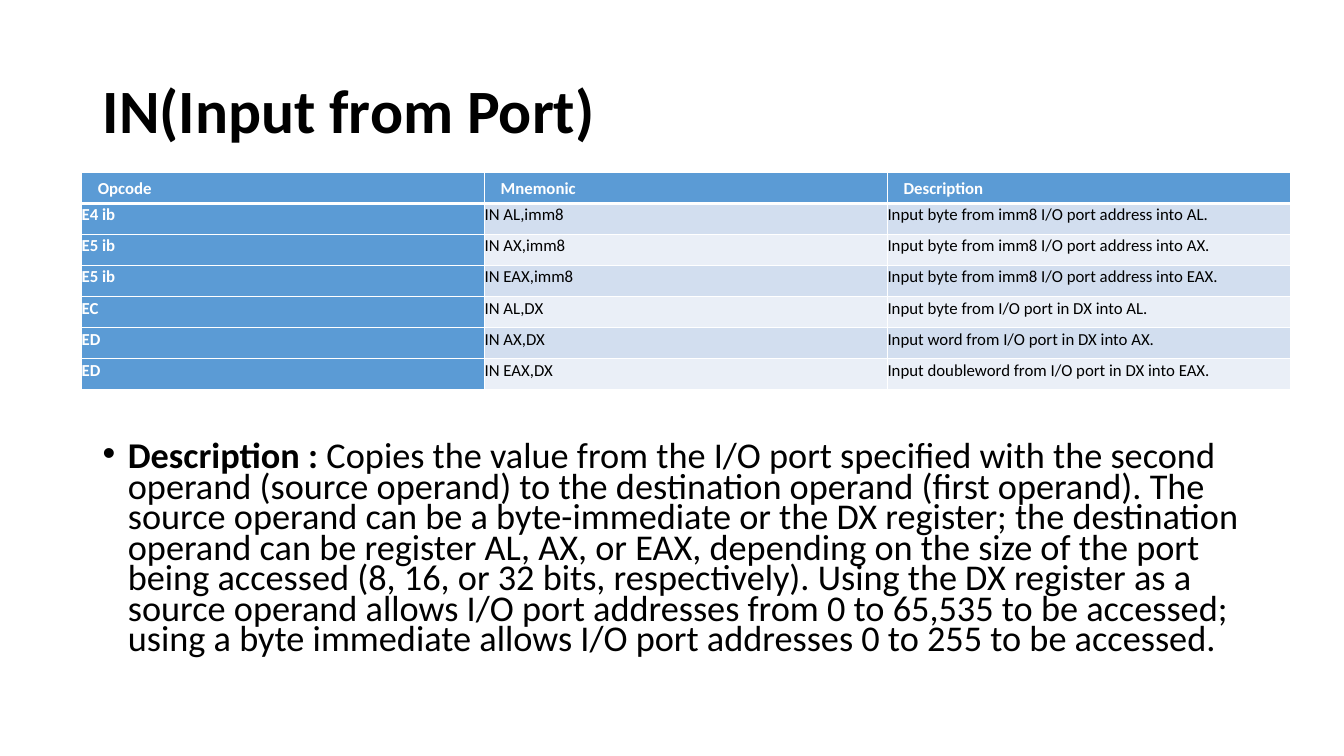
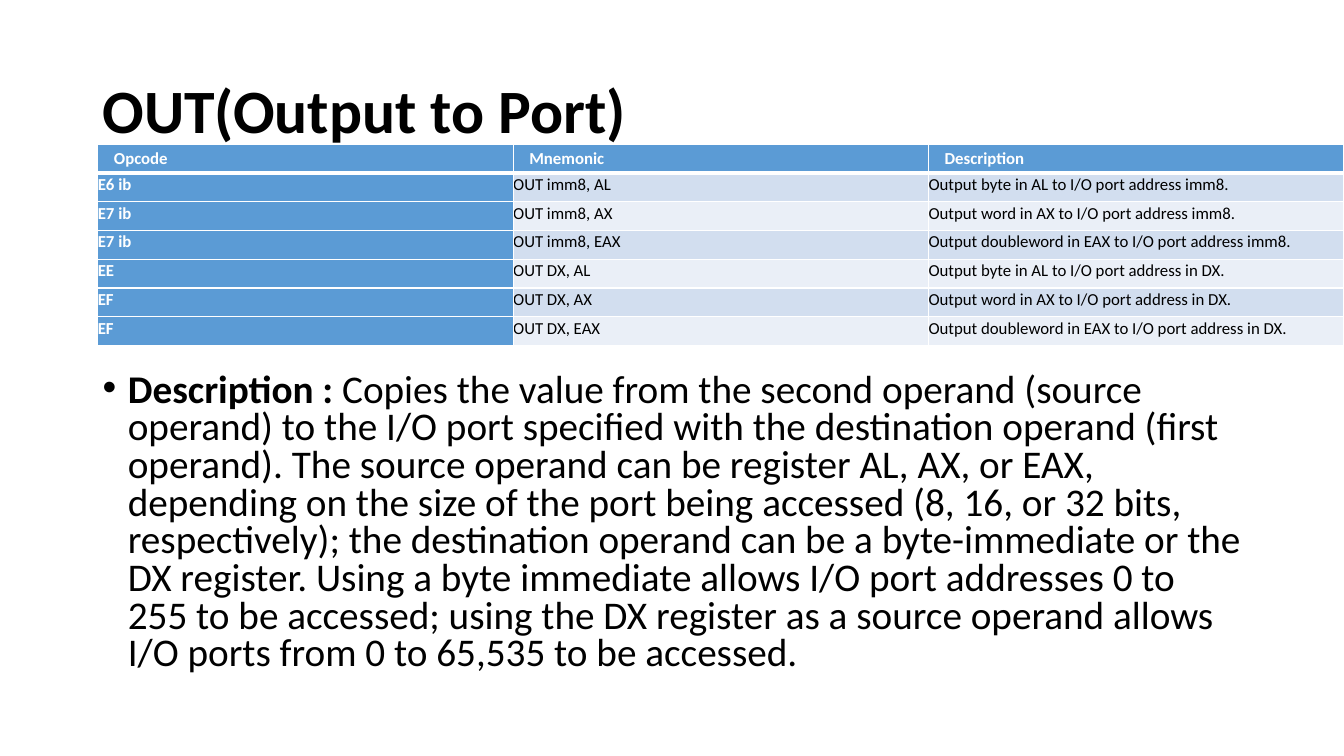
"""Build two slides on the IN and OUT port instructions."""
import dataclasses

import lxml.etree
import pptx
import pptx.dml.color
import pptx.enum.text
import pptx.oxml.ns
import pptx.util

Inches = pptx.util.Inches
Pt = pptx.util.Pt
qn = pptx.oxml.ns.qn
Anchor = pptx.enum.text.MSO_ANCHOR


@dataclasses.dataclass
class Theme:
    font: str = "Calibri"
    ink: str = "000000"
    white: str = "FFFFFF"
    blue: str = "5B9BD5"
    bands: tuple = ("D2DEEF", "EAEFF7")
    title: float = 44
    cell: float = 12
    thin: float = 1
    thick: float = 3


theme = Theme()


def add_run(para, text, size, color, bold):
    run = para.add_run()
    run.text = text
    run.font.name = theme.font
    run.font.size = Pt(size)
    run.font.bold = bold
    run.font.color.rgb = pptx.dml.color.RGBColor.from_string(color)


def add_edge(cell, side, width):
    line = lxml.etree.SubElement(cell._tc.get_or_add_tcPr(), qn("a:ln" + side), w=str(Pt(width)))
    fill = lxml.etree.SubElement(line, qn("a:solidFill"))
    lxml.etree.SubElement(fill, qn("a:srgbClr"), val=theme.white)


heads = ("Opcode", "Mnemonic", "Description")
pages = [
    dict(
        title="IN(Input from Port)",
        left=0.81, top=1.71, width=11.99, height=2.16,
        rows=[
            ("E4 ib", "IN AL,imm8", "Input byte from imm8 I/O port address into AL."),
            ("E5 ib", "IN AX,imm8", "Input byte from imm8 I/O port address into AX."),
            ("E5 ib", "IN EAX,imm8", "Input byte from imm8 I/O port address into EAX."),
            ("EC", "IN AL,DX", "Input byte from I/O port in DX into AL."),
            ("ED", "IN AX,DX", "Input word from I/O port in DX into AX."),
            ("ED", "IN EAX,DX", "Input doubleword from I/O port in DX into EAX."),
        ],
        size=25.9, pitch=0.7, inset=2.41,
        label="Description : ",
        text="Copies the value from the I/O port specified with the second operand "
             "(source operand) to the destination operand (first operand). The source "
             "operand can be a byte-immediate or the DX register; the destination operand "
             "can be register AL, AX, or EAX, depending on the size of the port being "
             "accessed (8, 16, or 32 bits, respectively). Using the DX register as a source "
             "operand allows I/O port addresses from 0 to 65,535 to be accessed; using a "
             "byte immediate allows I/O port addresses 0 to 255 to be accessed.",
    ),
    dict(
        title="OUT(Output to Port)",
        left=0.97, top=1.43, width=12.36, height=2,
        rows=[
            ("E6 ib", "OUT imm8, AL", "Output byte in AL to I/O port address imm8."),
            ("E7 ib", "OUT imm8, AX", "Output word in AX to I/O port address imm8."),
            ("E7 ib", "OUT imm8, EAX", "Output doubleword in EAX to I/O port address imm8."),
            ("EE", "OUT DX, AL", "Output byte in AL to I/O port address in DX."),
            ("EF", "OUT DX, AX", "Output word in AX to I/O port address in DX."),
            ("EF", "OUT DX, EAX", "Output doubleword in EAX to I/O port address in DX."),
        ],
        size=28, pitch=0.8, inset=1.7,
        label="Description :",
        text=" Copies the value from the second operand (source operand) to the I/O port "
             "specified with the destination operand (first operand). The source operand can "
             "be register AL, AX, or EAX, depending on the size of the port being accessed "
             "(8, 16, or 32 bits, respectively); the destination operand can be a "
             "byte-immediate or the DX register. Using a byte immediate allows I/O port "
             "addresses 0 to 255 to be accessed; using the DX register as a source operand "
             "allows I/O ports from 0 to 65,535 to be accessed.",
    ),
]

deck = pptx.Presentation()
deck.slide_width = Inches(13.33)
deck.slide_height = Inches(7.5)

for page in pages:
    slide = deck.slides.add_slide(deck.slide_layouts[6])

    title = slide.shapes.add_textbox(Inches(0.92), Inches(0.4), Inches(11.5), Inches(1.45))
    title.text_frame.word_wrap = True
    title.text_frame.vertical_anchor = Anchor.MIDDLE
    para = title.text_frame.paragraphs[0]
    para.line_spacing = 0.9
    add_run(para, page["title"], theme.title, theme.ink, True)

    body = slide.shapes.add_textbox(Inches(0.92), Inches(2), Inches(11.5), Inches(4.76))
    body.text_frame.word_wrap = True
    body.text_frame.margin_top = Inches(page["inset"])
    para = body.text_frame.paragraphs[0]
    para.line_spacing = page["pitch"]
    props = para._p.get_or_add_pPr()
    props.set("marL", str(Inches(0.25)))
    props.set("indent", str(-Inches(0.25)))
    lxml.etree.SubElement(props, qn("a:buFont"), typeface="Arial")
    lxml.etree.SubElement(props, qn("a:buChar"), char="•")
    add_run(para, page["label"], page["size"], theme.ink, True)
    add_run(para, page["text"], page["size"], theme.ink, False)

    rows = [heads] + page["rows"]
    table = slide.shapes.add_table(
        len(rows), len(heads), Inches(page["left"]), Inches(page["top"]),
        Inches(page["width"]), Inches(page["height"])).table
    for r, row in enumerate(rows):
        for c, text in enumerate(row):
            cell = table.cell(r, c)
            head = r == 0
            dark = head or c == 0
            cell.margin_left = cell.margin_right = Inches(0.16 if head else 0)
            cell.margin_top = cell.margin_bottom = 0
            cell.vertical_anchor = Anchor.MIDDLE if head else Anchor.TOP
            for side in "LRTB":
                heavy = (r, side) in ((0, "B"), (1, "T"))
                add_edge(cell, side, theme.thick if heavy else theme.thin)
            cell.fill.solid()
            color = theme.blue if dark else theme.bands[(r - 1) % 2]
            cell.fill.fore_color.rgb = pptx.dml.color.RGBColor.from_string(color)
            para = cell.text_frame.paragraphs[0]
            para.line_spacing = 1.07
            add_run(para, text, theme.cell, theme.white if dark else theme.ink, dark)

deck.save("out.pptx")
